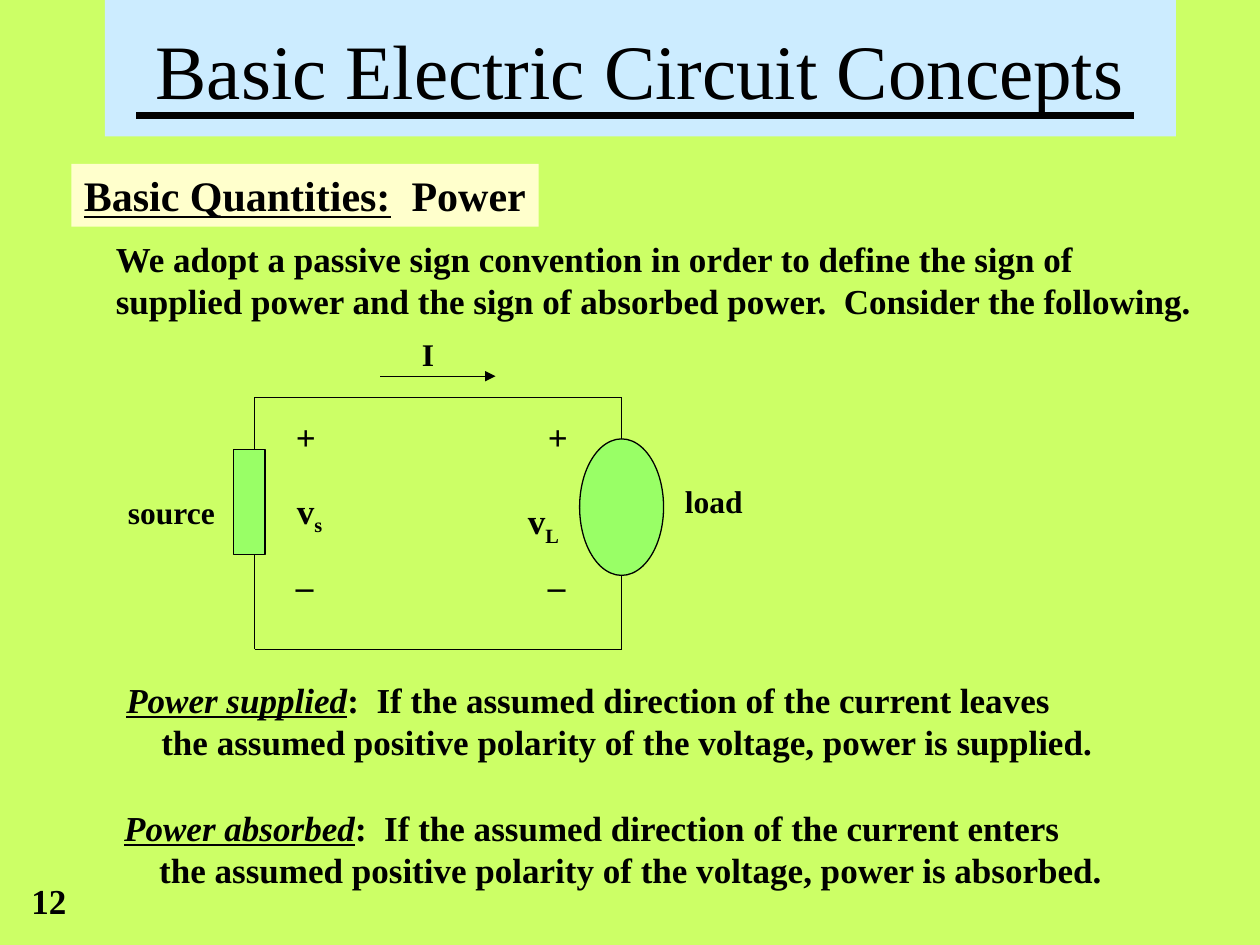
"""Build a slide on the passive sign convention, laid out on a 120 by 90 grid."""
from itertools import pairwise

from lxml.etree import SubElement
from pptx import Presentation
from pptx.dml.color import RGBColor
from pptx.enum.shapes import MSO_CONNECTOR as Connector, MSO_SHAPE as Shape
from pptx.enum.text import MSO_ANCHOR as Anchor, MSO_AUTO_SIZE as AutoSize, PP_ALIGN as Align
from pptx.oxml.ns import qn
from pptx.util import Inches, Pt

BLACK = RGBColor(0x00, 0x00, 0x00)
LIME = RGBColor(0xCC, 0xFF, 0x66)
GREEN = RGBColor(0x99, 0xFF, 0x66)
SKY = RGBColor(0xCC, 0xEC, 0xFF)
CREAM = RGBColor(0xFF, 0xFF, 0xCC)
FONT = "Times New Roman"
LINE_INDENT = Pt(20)


def grid(*cells):
    return [Inches(cell / 12) for cell in cells]


def add_block(slide, kind, box, fill, outline=None):
    block = slide.shapes.add_shape(kind, *grid(*box))
    block.shadow.inherit = False
    block.fill.solid()
    block.fill.fore_color.rgb = fill
    if outline:
        block.line.color.rgb = outline
        block.line.width = Pt(0.75)
    else:
        block.line.fill.background()
    return block


def add_text(slide, box, *lines, size=20, bold=True, align=Align.LEFT,
             anchor=Anchor.TOP, fill=None, wrap=False, hanging=False):
    holder = (add_block(slide, Shape.RECTANGLE, box, fill) if fill
              else slide.shapes.add_textbox(*grid(*box)))
    frame = holder.text_frame
    frame.word_wrap = wrap
    frame.auto_size = AutoSize.NONE if wrap else AutoSize.SHAPE_TO_FIT_TEXT
    frame.vertical_anchor = anchor
    for number, line in enumerate(lines):
        paragraph = frame.add_paragraph() if number else frame.paragraphs[0]
        paragraph.alignment = align
        if hanging and number:
            paragraph._p.get_or_add_pPr().set("marL", str(LINE_INDENT))
        for words, style in [(line, ())] if isinstance(line, str) else line:
            run = paragraph.add_run()
            run.text = words
            font = run.font
            font.name, font.size, font.bold = FONT, Pt(size), bold
            font.color.rgb = BLACK
            font.underline, font.italic = "u" in style, "i" in style
            if "sub" in style:
                run._r.get_or_add_rPr().set("baseline", "-25000")


def add_line(slide, start, end, width=0.75, arrow=False):
    line = slide.shapes.add_connector(Connector.STRAIGHT, *grid(*start, *end))
    line.line.color.rgb = BLACK
    line.line.width = Pt(width)
    if arrow:
        SubElement(line.line._get_or_add_ln(), qn("a:tailEnd"), type="triangle")
    SubElement(line._element.spPr, qn("a:effectLst"))


def add_circuit(slide):
    left, right, top, bottom = 24.25, 59.2, 37.83, 61.83
    add_block(slide, Shape.RECTANGLE, (22.25, 42.83, 3, 10), GREEN, BLACK)
    add_block(slide, Shape.OVAL, (55.2, 41.8, 8, 13), GREEN, BLACK)
    upper_wire = [(left, 42.83), (left, top), (right, top), (right, 41.8)]
    lower_wire = [(left, 52.83), (left, bottom), (right, bottom), (right, 54.8)]
    for wire in (upper_wire, lower_wire):
        for start, end in pairwise(wire):
            add_line(slide, start, end)
    add_line(slide, (36.2, 35.83), (47.2, 35.83), arrow=True)
    add_text(slide, (39, 31.3, 3.5, 4.8), "I", size=18)
    add_text(slide, (64.05, 45.35, 7.9, 4.8), "load", size=18)
    add_text(slide, (11, 46.35, 10.7, 4.8), "source", size=18)
    for column in (27, 51):
        add_text(slide, (column, 39, 4.3, 5.3), "+")
        add_text(slide, (column, 52, 4.1, 5.3), "_")
    for corner, subscript in (((27.1, 46), "s"), ((49.1, 47), "L")):
        add_text(slide, (*corner, 7, 5.8), [("v", ()), (subscript, {"sub"})], wrap=True)


def add_definition(slide, box, kind, direction):
    add_text(slide, box,
             [(f"Power {kind}", {"u", "i"}),
              (f":  If the assumed direction of the current {direction}", ())],
             f"the assumed positive polarity of the voltage, power is {kind}.",
             hanging=True)


def main():
    deck = Presentation()
    deck.slide_width, deck.slide_height = grid(120, 90)
    slide = deck.slides.add_slide(deck.slide_layouts[6])
    slide.background.fill.solid()
    slide.background.fill.fore_color.rgb = LIME

    add_text(slide, (10, 0, 102, 13), "Basic Electric Circuit Concepts", size=44,
             bold=False, align=Align.CENTER, anchor=Anchor.MIDDLE, fill=SKY, wrap=True)
    add_line(slide, (13, 11), (108, 11), width=4.5)
    add_text(slide, (6.8, 15.6, 44.5, 6),
             [("Basic Quantities:", {"u"}), ("  Power", ())], size=24, fill=CREAM)
    add_text(slide, (9.85, 22, 105.2, 9.2),
             "We adopt a passive sign convention in order to define the sign of",
             "supplied power and the sign of absorbed power.  Consider the following.")
    add_circuit(slide)
    add_definition(slide, (10.85, 64, 94.6, 9.2), "supplied", "leaves")
    add_definition(slide, (10.65, 76.2, 95.6, 9.2), "absorbed", "enters")
    add_text(slide, (1.8, 83.2, 5.8, 5.3), "12")
    deck.save("out.pptx")


if __name__ == "__main__":
    main()
